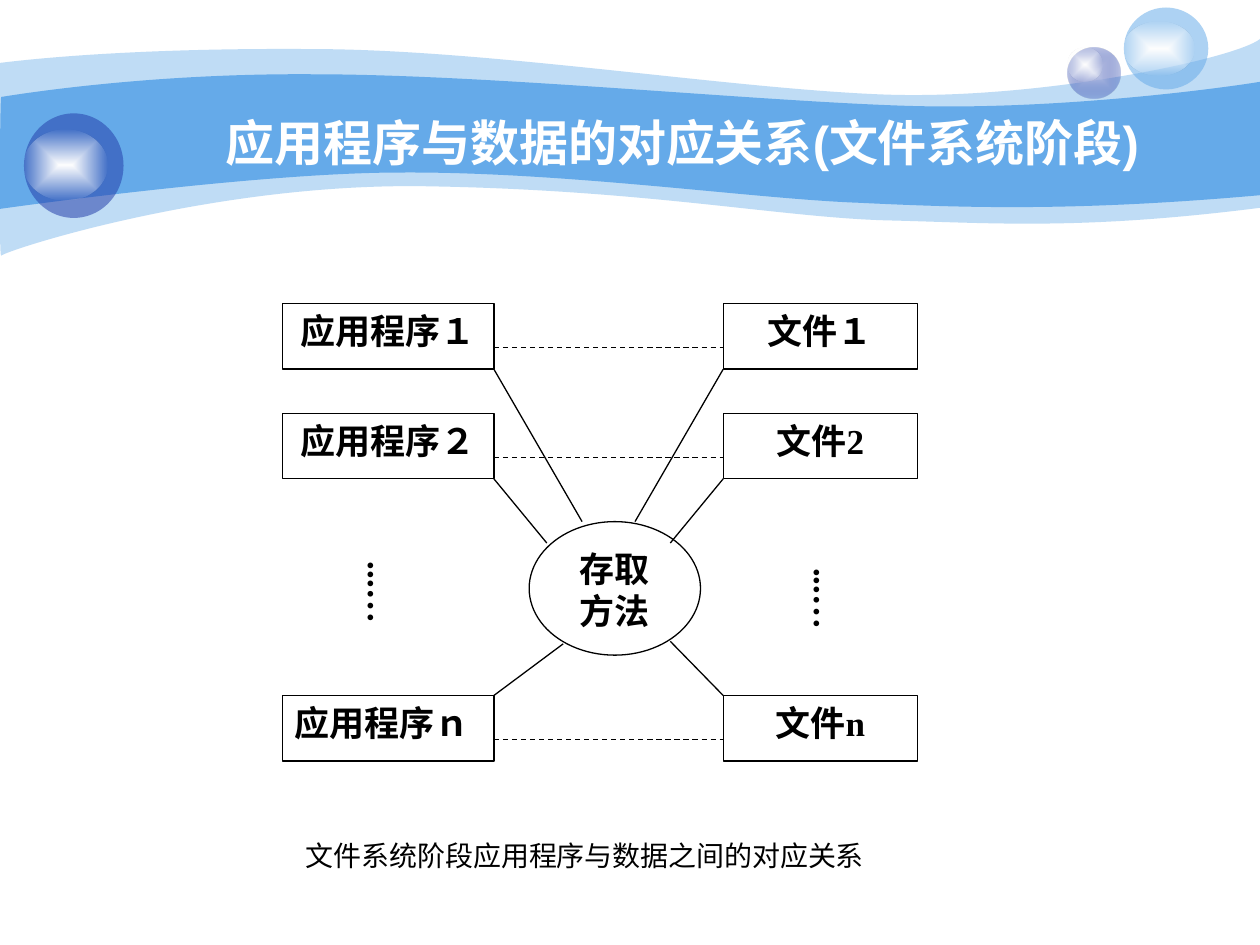
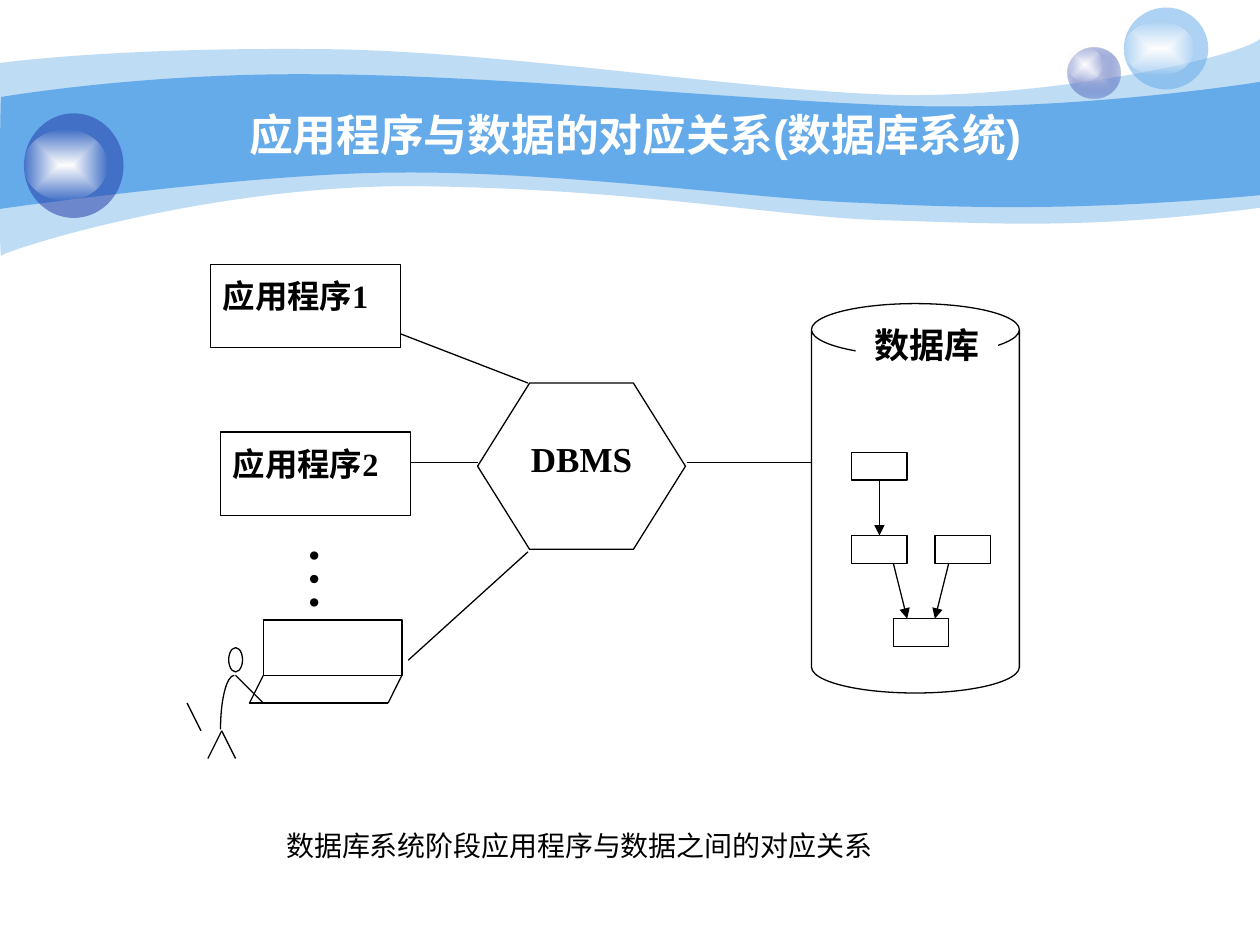
from pptx import Presentation, util as u
from pptx.dml.color import RGBColor
from pptx.enum import dml, shapes, text
from pptx.oxml import parse_xml
from pptx.oxml.ns import nsdecls, qn

COLORS = {"ink": "000000", "paper": "FFFFFF", "sky": "65AAE9", "navy": "233DA9", "mist": "C7CEE9"}
SERIF, SANS = "Times New Roman", "Arial"
SHAPE, ALIGN = shapes.MSO_SHAPE, text.PP_ALIGN
STROKE = 0.75

WAVES = [
    (41, [(0, 0.5),
          (0.24, 0.47, 1.07, 0.38, 2.47, 0.39), (3.86, 0.39, 5.75, 0.7, 6.99, 0.75),
          (8.22, 0.8, 9.8, 0.47, 10, 0.31), (10, 1.65),
          (8.58, 1.83, 7.87, 1.77, 7.05, 1.75), (6.22, 1.73, 5.15, 1.51, 3.43, 1.48),
          (1.72, 1.44, 0.04, 1.99, 0.01, 2.03), (-0.01, 2.08, 0, 0.75, 0, 0.5)]),
    (100, [(0.01, 0.77),
           (0.02, 0.77, 1.1, 0.58, 2.48, 0.59), (3.86, 0.59, 5.95, 0.8, 7.18, 0.84),
           (8.41, 0.88, 9.76, 0.69, 10, 0.65), (10, 1.55),
           (8.53, 1.68, 7.65, 1.65, 6.82, 1.61), (5.99, 1.58, 4.47, 1.36, 3.17, 1.37),
           (2.03, 1.37, -0.02, 1.66, -0.01, 1.66), (0, 1.66, 0, 0.77, 0.01, 0.77)]),
]
GLOW = [("paper", 100), ("paper", 0)]
BUBBLES = [
    ((8.47, 0.38, 0.42, 0.4), [("mist", 100), ("navy", 31)]),
    ((8.47, 0.38, 0.28, 0.27), GLOW),
    ((8.92, 0.06, 0.67, 0.65), [("sky", 53)]),
    ((8.92, 0.17, 0.56, 0.43), GLOW),
    ((0.19, 0.9, 0.79, 0.83), [("navy", 53)]),
    ((0.19, 1.03, 0.66, 0.56), GLOW),
]

FILE_STAGE = {
    "title": ("应用程序与数据的对应关系(文件系统阶段)", (1.08, 0.5, 8.67, 1.25), 28),
    "caption": ("文件系统阶段应用程序与数据之间的对应关系", (1.96, 6.61, 5.37, 0.4)),
    "method": ("存取方法", (4.2, 4.14, 1.36, 1.06)),
    "rows": [
        (2.41, "应用程序１", "文件１", ALIGN.CENTER, 0.52, (4.62, 4.14), (5.04, 4.14)),
        (3.28, "应用程序２", "文件2", ALIGN.CENTER, 0.52, (4.34, 4.31), (5.32, 4.31)),
        (5.52, "应用程序ｎ", "文件n", ALIGN.JUSTIFY, 0, (4.47, 5.11), (5.32, 5.09)),
    ],
    "dots": [("...…", (2.72, 4.36, 0.53, 0.91)), ("...…", (6.26, 4.41, 0.53, 0.91))],
}
PROGRAM_LEFT, PROGRAM_WIDTH = 2.24, 1.68
FILE_LEFT, FILE_WIDTH = 5.74, 1.54
ROW_HEIGHT, DASH_DROP = 0.52, 0.35

DATABASE_STAGE = {
    "title": ("应用程序与数据的对应关系(数据库系统)", (1, 0.75, 8.08, 0.62), 25),
    "caption": ("数据库系统阶段应用程序与数据之间的对应关系", (1.8, 6.53, 5.6, 0.4)),
    "programs": [("应用程序1", (1.67, 2.1, 1.51, 0.66)), ("应用程序2", (1.75, 3.43, 1.51, 0.66))],
    "manager": ("DBMS", (3.79, 3.04, 1.65, 1.32)),
    "database": ("数据库", (6.79, 2.57, 1.13, 0.44)),
    "dots": ("…", (2.22, 4.22, 0.86, 0.92)),
    "links": [((5.45, 3.67), (6.44, 3.67)), ((3.18, 2.65), (4.19, 3.04)),
              ((3.26, 3.67), (3.79, 3.67)), ((3.24, 5.24), (4.19, 4.38))],
}
CELL = 0.11
RECORDS_AT, USER_AT = (6.76, 3.59), (1.65, 4.92)
RECORDS = [(0, 0), (0, 6), (6, 6), (3, 12)]
POINTERS = [((2, 2), (2, 6)), ((3, 8), (4, 12)), ((7, 8), (6, 12))]
SCREEN, HEAD = (4, 0, 10, 4), (1.5, 2, 1, 1.75)
BODY = [(1.86, 5.36), (1.8, 5.36, 1.75, 5.55, 1.75, 5.79)]
USER_STROKES = [
    ((-2.5, 10), (-2.5, 10)), ((-1.5, 6), (-0.5, 8)),
    ((4, 4), (3, 6)), ((14, 4), (13, 6)), ((3, 6), (13, 6)),
    ((1, 8), (2, 10)), ((1, 8), (0, 10)), ((2, 4), (4, 6)),
]


def apply(target, values):
    for name, value in values.items():
        setattr(target, name, value)


def rgb(name):
    return RGBColor.from_string(COLORS[name])


def inches(box):
    return [u.Inches(length) for length in box]


def on_grid(origin, point):
    return tuple(start + CELL * step for start, step in zip(origin, point))


def cell_box(origin, col, row, cols, rows):
    return (*on_grid(origin, (col, row)), cols * CELL, rows * CELL)


def stroke(line):
    line.color.rgb = rgb("ink")
    line.width = u.Pt(STROKE)


def paint(shape, stops):
    shape.fill.background()
    shape.line.fill.background()
    shape.shadow.inherit = False
    tones = [f'<a:srgbClr val="{COLORS[name]}"><a:alpha val="{opacity * 1000}"/></a:srgbClr>'
             for name, opacity in stops]
    if len(tones) == 1:
        xml = f'<a:solidFill {nsdecls("a")}>{tones[0]}</a:solidFill>'
    else:
        marks = "".join(f'<a:gs pos="{pos}">{tone}</a:gs>' for pos, tone in zip((0, 100000), tones))
        xml = (f'<a:gradFill {nsdecls("a")} rotWithShape="1"><a:gsLst>{marks}</a:gsLst><a:path path="rect">'
               '<a:fillToRect l="50000" t="50000" r="50000" b="50000"/></a:path></a:gradFill>')
    properties = shape.element.spPr
    properties.replace(properties.find(qn("a:noFill")), parse_xml(xml))


def outline(slide, segments, close):
    points = [inches(segment[i:i + 2]) for segment in segments for i in range(0, len(segment), 2)]
    builder = slide.shapes.build_freeform(*points[0])
    builder.add_line_segments(points[1:], close=close)
    shape = builder.convert_to_shape()
    steps = iter(list(shape.element.spPr.iter(qn("a:lnTo"))))
    for segment in segments[1:]:
        first = next(steps)
        if len(segment) == 6:
            curve = parse_xml(f'<a:cubicBezTo {nsdecls("a")}/>')
            first.addprevious(curve)
            for step in (first, next(steps), next(steps)):
                curve.append(step[0])
                step.getparent().remove(step)
    return shape


def write(shape, words, size, bold=True, align=ALIGN.CENTER, font=SERIF, color="ink",
          insets=(0.1, 0.05, 0.1, 0.05), anchor=text.MSO_ANCHOR.TOP, wrap=True, spacing=None):
    frame = shape.text_frame
    sides = ("margin_left", "margin_top", "margin_right", "margin_bottom")
    apply(frame, {"word_wrap": wrap, "auto_size": text.MSO_AUTO_SIZE.NONE,
                  "vertical_anchor": anchor, **dict(zip(sides, inches(insets)))})
    paragraph = frame.paragraphs[0]
    paragraph.text = words
    apply(paragraph, {"alignment": align, "line_spacing": spacing})
    apply(paragraph.font, {"size": u.Pt(size), "bold": bold, "name": font})
    paragraph.font.color.rgb = rgb(color)


def block(slide, box, kind=SHAPE.RECTANGLE, words=None, size=20, lined=True, **style):
    shape = slide.shapes.add_shape(kind, *inches(box))
    shape.shadow.inherit = False
    shape.fill.solid()
    shape.fill.fore_color.rgb = rgb("paper")
    if lined:
        stroke(shape.line)
    else:
        shape.line.fill.background()
    if words:
        write(shape, words, size, **style)
    return shape


def link(slide, start, end, dashed=False, arrow=False):
    line = slide.shapes.add_connector(shapes.MSO_CONNECTOR.STRAIGHT, *inches((*start, *end)))
    stroke(line.line)
    if dashed:
        line.line.dash_style = dml.MSO_LINE.DASH
    if arrow:
        line.line._get_or_add_ln().append(parse_xml(f'<a:tailEnd {nsdecls("a")} type="triangle"/>'))
    line.element.spPr.append(parse_xml(f'<a:effectLst {nsdecls("a")}/>'))


def vertical_dots(slide, words, box, size, bold):
    dots = slide.shapes.add_textbox(*inches(box))
    write(dots, words, size, bold, ALIGN.LEFT, insets=(0.05, 0.1, 0.05, 0.1))
    dots.text_frame._txBody.bodyPr.set("vert", "eaVert")


def start_slide(deck, layout, stage):
    slide = deck.slides.add_slide(layout)
    words, box, size = stage["title"]
    title = slide.shapes.title
    apply(title, dict(zip(("left", "top", "width", "height"), inches(box))))
    write(title, words, size, font=SANS, color="paper", anchor=text.MSO_ANCHOR.MIDDLE)
    words, box = stage["caption"]
    write(slide.shapes.add_textbox(*inches(box)), words, 16, bold=False, wrap=False)
    return slide


def decorate(layout, slide):
    decor = []
    for opacity, segments in WAVES:
        wave = outline(slide, segments, close=True)
        paint(wave, [("sky", opacity)])
        decor.append(wave)
    for box, stops in BUBBLES:
        bubble = slide.shapes.add_shape(SHAPE.OVAL, *inches(box))
        paint(bubble, stops)
        decor.append(bubble)
    tree = layout.element.cSld.spTree
    for position, part in enumerate(decor, start=2):
        tree.insert(position, part.element)


def draw_file_stage(slide):
    stage = FILE_STAGE
    program_edge = PROGRAM_LEFT + PROGRAM_WIDTH
    for top, program, file, align, link_drop, left_touch, right_touch in stage["rows"]:
        block(slide, (PROGRAM_LEFT, top, PROGRAM_WIDTH, ROW_HEIGHT), words=program, align=align)
        block(slide, (FILE_LEFT, top, FILE_WIDTH, ROW_HEIGHT), words=file)
        link(slide, (program_edge, top + DASH_DROP), (FILE_LEFT, top + DASH_DROP), dashed=True)
    method, box = stage["method"]
    block(slide, box, SHAPE.OVAL, method)
    for top, program, file, align, link_drop, left_touch, right_touch in stage["rows"]:
        link(slide, (program_edge, top + link_drop), left_touch)
        link(slide, (FILE_LEFT, top + link_drop), right_touch)
    for words, box in stage["dots"]:
        vertical_dots(slide, words, box, 20, True)


def draw_database_stage(slide):
    stage = DATABASE_STAGE
    block(slide, cell_box(USER_AT, *SCREEN))
    block(slide, cell_box(USER_AT, *HEAD), SHAPE.FLOWCHART_CONNECTOR)
    for start, end in USER_STROKES:
        link(slide, on_grid(USER_AT, start), on_grid(USER_AT, end))
    body = outline(slide, BODY, close=False)
    body.shadow.inherit = False
    body.fill.background()
    stroke(body.line)

    words, box = stage["manager"]
    manager = block(slide, box, SHAPE.HEXAGON, words, insets=(0, 0.21, 0, 0.05))
    manager.adjustments[0] = 0.313
    block(slide, (6.44, 2.41, 1.65, 3.09), SHAPE.CAN)
    for record in RECORDS:
        block(slide, cell_box(RECORDS_AT, *record, 4, 2))
    for start, end in POINTERS:
        link(slide, on_grid(RECORDS_AT, start), on_grid(RECORDS_AT, end), arrow=True)
    for start, end in stage["links"]:
        link(slide, start, end)
    for words, box in stage["programs"]:
        block(slide, box, words=words, size=18.5, align=ALIGN.JUSTIFY,
              insets=(0.1, 0.13, 0.1, 0.05), spacing=0.9)
    words, box = stage["database"]
    block(slide, box, words=words, lined=False, insets=(0, 0, 0, 0))
    vertical_dots(slide, *stage["dots"], 40, False)


def main():
    deck = Presentation()
    apply(deck, {"slide_width": u.Inches(10), "slide_height": u.Inches(7.5)})
    layout = deck.slide_layouts.get_by_name("Title Only")
    file_slide = start_slide(deck, layout, FILE_STAGE)
    decorate(layout, file_slide)
    draw_file_stage(file_slide)
    draw_database_stage(start_slide(deck, layout, DATABASE_STAGE))
    deck.save("out.pptx")


if __name__ == "__main__":
    main()
